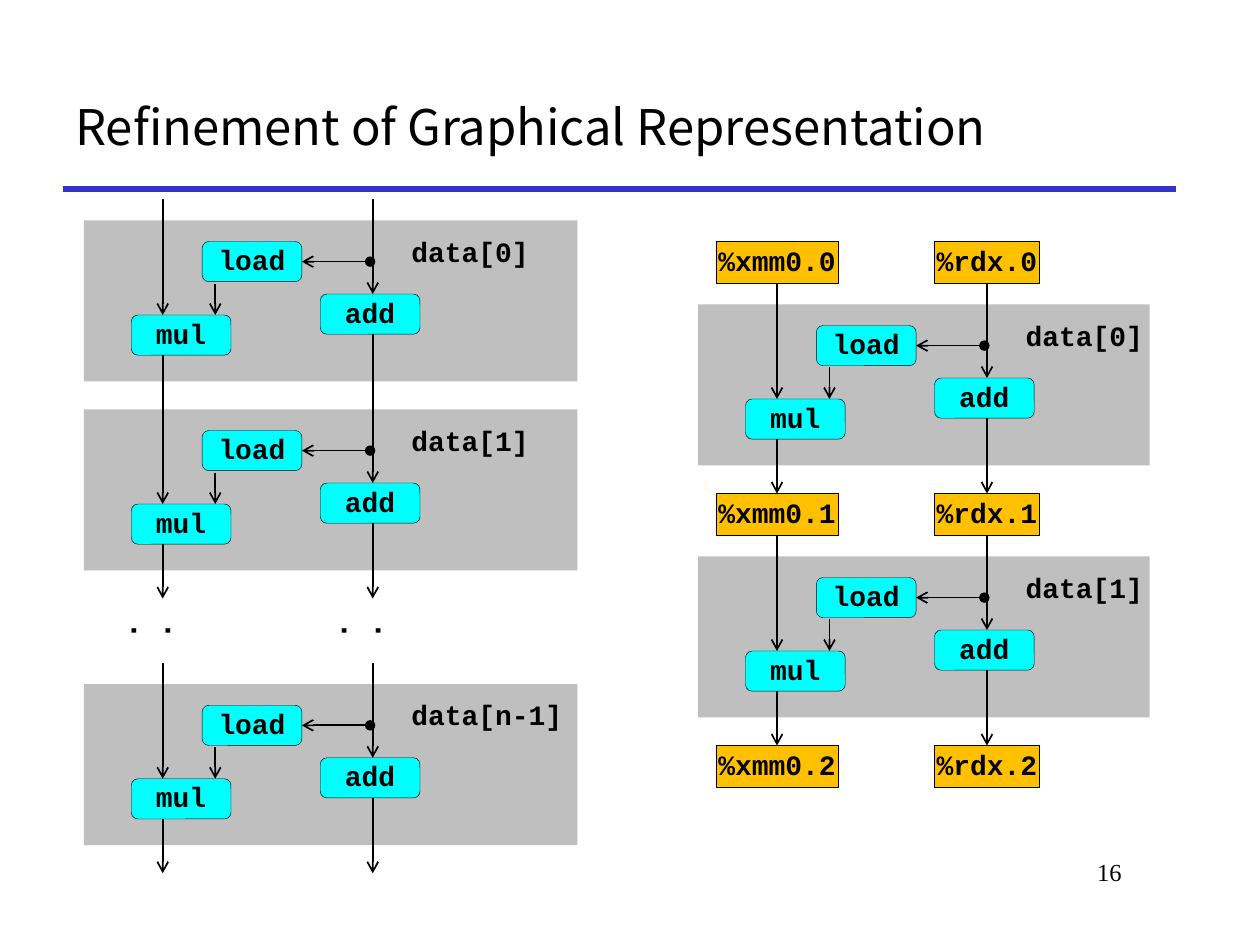
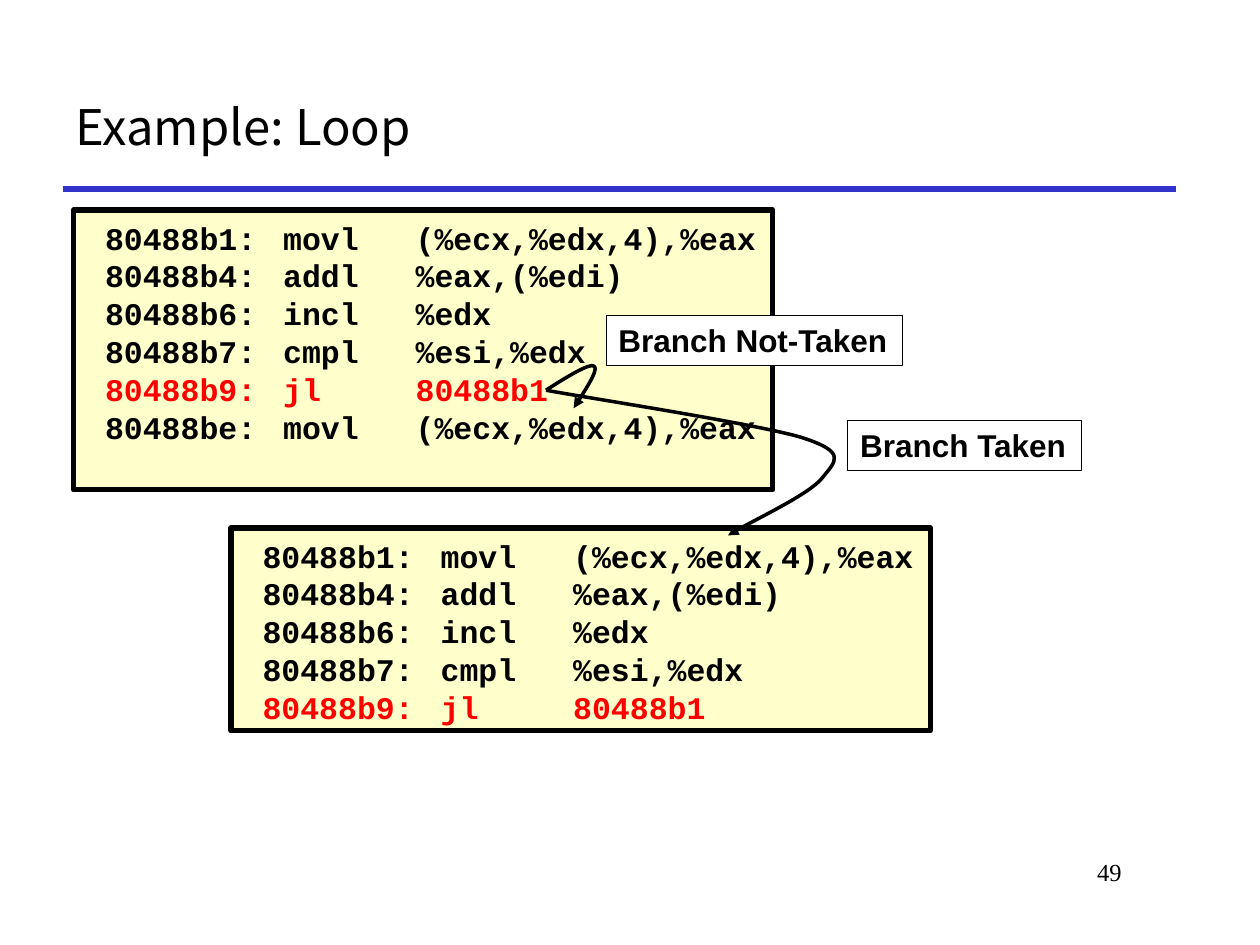
from dataclasses import dataclass

from lxml import etree
from pptx import Presentation
from pptx.dml.color import RGBColor
from pptx.enum.shapes import MSO_CONNECTOR, MSO_SHAPE
from pptx.enum.text import MSO_ANCHOR, PP_ALIGN
from pptx.oxml.ns import qn
from pptx.util import Pt

RECTANGLE, ROUNDED = MSO_SHAPE.RECTANGLE, MSO_SHAPE.ROUNDED_RECTANGLE
STRAIGHT = MSO_CONNECTOR.STRAIGHT
TOP, MIDDLE = MSO_ANCHOR.TOP, MSO_ANCHOR.MIDDLE
LEFT, CENTER, RIGHT = PP_ALIGN.LEFT, PP_ALIGN.CENTER, PP_ALIGN.RIGHT


@dataclass(frozen=True)
class Theme:
    ink: str = "000000"
    rule: str = "3333CC"
    panel: str = "BFBFBF"
    register: str = "FFC000"
    operation: str = "00FFFF"
    code: str = "FFFFCC"
    jump: str = "FF0000"
    white: str = "FFFFFF"
    title_font: str = "Noto Sans CJK KR"
    number_font: str = "Times New Roman"
    mono_font: str = "Courier New"
    label_font: str = "Arial"
    title_size: float = 28
    number_size: float = 14
    node_size: float = 16
    code_size: float = 18
    hairline: float = 0.25
    thin: float = 1
    curve: float = 2
    thick: float = 3


theme = Theme()


def add_box(page, text, frame, kind=None, fill=None, border=None, font=theme.mono_font,
            size=theme.node_size, bold=True, align=LEFT, anchor=TOP,
            insets=(7.2, 3.6, 7.2, 3.6), spacing=None, wrap=True):
    """Add a preset shape, or a text box when kind is None, with one paragraph per line."""
    lengths = [Pt(value) for value in frame]
    if kind is None:
        box = page.shapes.add_textbox(*lengths)
    else:
        box = page.shapes.add_shape(kind, *lengths)
        box.shadow.inherit = False
        if fill:
            box.fill.solid()
            box.fill.fore_color.rgb = RGBColor.from_string(fill)
        else:
            box.fill.background()
        if border:
            box.line.color.rgb = RGBColor.from_string(theme.ink)
            box.line.width = Pt(border)
        else:
            box.line.fill.background()
    body = box.text_frame
    body.word_wrap = wrap
    body.vertical_anchor = anchor
    body.margin_left, body.margin_top, body.margin_right, body.margin_bottom = map(Pt, insets)
    for index, line in enumerate(text.split("\n") if text else []):
        para = body.paragraphs[0] if index == 0 else body.add_paragraph()
        para.alignment = align
        if spacing:
            para.line_spacing = spacing
        span = para.add_run()
        span.text = line
        span.font.name = font
        span.font.size = Pt(size)
        span.font.bold = bold
        span.font.color.rgb = RGBColor.from_string(theme.ink)
    return box


def style_line(line, width=theme.thin, color=theme.ink, head=None, tail=None):
    """Give a connector or open outline its stroke and ends, without a shadow."""
    line.line.color.rgb = RGBColor.from_string(color)
    line.line.width = Pt(width)
    properties = line.element.spPr
    stroke = properties.find(qn("a:ln"))
    for tag, end in (("a:headEnd", head), ("a:tailEnd", tail)):
        if end:
            etree.SubElement(stroke, qn(tag), type=end)
    if properties.find(qn("a:effectLst")) is None:
        etree.SubElement(properties, qn("a:effectLst"))


deck = Presentation()
deck.slide_width, deck.slide_height = Pt(720), Pt(540)

# Shared frame of both slides
pages = []
for title, number in (("Refinement of Graphical Representation", "16"), ("Example: Loop", "49")):
    page = deck.slides.add_slide(deck.slide_layouts[6])
    rule = page.shapes.add_connector(STRAIGHT, Pt(36), Pt(108), Pt(672), Pt(108))
    style_line(rule, theme.thick, theme.rule)
    add_box(page, number, (546, 486, 102, 36), font=theme.number_font,
            size=theme.number_size, bold=False, align=RIGHT)
    add_box(page, title, (36, 36, 636, 72), font=theme.title_font,
            size=theme.title_size, bold=False, anchor=MIDDLE)
    pages.append(page)
graph_page, loop_page = pages

# Data-flow graphs: two lanes, the product and the pointer
LANE_GAP = 120
LEFT_LANE, RIGHT_LANE = 93, 444
NODE_WIDTH, NODE_HEIGHT = 57, 23
node_format = dict(border=theme.hairline, align=CENTER, anchor=MIDDLE,
                   insets=(0, 0, 0, 0), spacing=0.9)

registers = []
for step in range(3):
    row = []
    for name, center, width in (("%xmm0", RIGHT_LANE, 70), ("%rdx", RIGHT_LANE + LANE_GAP, 60)):
        frame = (center - width / 2, 138 + 144 * step, width, 24)
        row.append(add_box(graph_page, f"{name}.{step}", frame, RECTANGLE,
                           theme.register, **node_format))
    registers.append(row)

# Lane, panel top, panel width, label, end of the outgoing lines, registers above and below
iterations = [
    (RIGHT_LANE, 174, 258, "data[0]", "arrow", registers[0:2]),
    (RIGHT_LANE, 318, 258, "data[1]", "arrow", registers[1:3]),
    (LEFT_LANE, 126, 282, "data[0]", None, None),
    (LEFT_LANE, 234, 282, "data[1]", "arrow", None),
    (LEFT_LANE, 391, 282, "data[n-1]", "arrow", None),
]
for lane, top, panel_width, label, exit_end, joined in iterations:
    add_box(graph_page, "", (lane - 45, top, panel_width, 92), RECTANGLE, theme.panel)
    nodes = {}
    for name, x, y in (("load", 22.5, 12), ("mul", -18, 54), ("add", 90, 42)):
        nodes[name] = add_box(graph_page, name, (lane + x, top + y, NODE_WIDTH, NODE_HEIGHT),
                              ROUNDED, theme.operation, **node_format)

    for column, (x, node_top) in enumerate(((0, 54), (LANE_GAP, 42))):
        x = Pt(lane + x)
        entry = graph_page.shapes.add_connector(STRAIGHT, x, Pt(top - 12), x, Pt(top + node_top))
        leave = graph_page.shapes.add_connector(
            STRAIGHT, x, Pt(top + node_top + NODE_HEIGHT), x, Pt(top + 108))
        if joined:
            entry.begin_connect(joined[0][column], 2)
            leave.end_connect(joined[1][column], 0)
        style_line(entry, tail="arrow")
        style_line(leave, tail=exit_end)

    fetch = graph_page.shapes.add_connector(
        STRAIGHT, Pt(lane + 118.5), Pt(top + 23.5), Pt(lane + 79.5), Pt(top + 23.5))
    fetch.end_connect(nodes["load"], 3)
    style_line(fetch, head="oval", tail="arrow")
    feed = graph_page.shapes.add_connector(
        STRAIGHT, Pt(lane + 30), Pt(top + 36), Pt(lane + 30), Pt(top + 54))
    style_line(feed, tail="arrow")
    label_width = 0.6 * theme.node_size * len(label) + 20
    add_box(graph_page, label, (lane + 135, top + 6.5, label_width, 25), spacing=0.9)

for x in (79.2, 199.4):
    dots = add_box(graph_page, "..", (x, 347.8, 34.5, 33.8), size=theme.code_size, spacing=0.9)
    dots.text_frame.auto_size = None
    dots.text_frame._txBody.bodyPr.set("vert", "eaVert")

# Assembly listings of the loop
loop_code = [
    "80488b1:\tmovl\t(%ecx,%edx,4),%eax",
    "80488b4:\taddl\t%eax,(%edi)",
    "80488b6:\tincl\t%edx",
    "80488b7:\tcmpl\t%esi,%edx",
    "80488b9:\tjl\t80488b1",
]
after_loop = ["80488be:\tmovl\t(%ecx,%edx,4),%eax"]
for x, y, height, lines in ((42, 120, 160, loop_code + after_loop), (132, 301.7, 116, loop_code)):
    listing = add_box(loop_page, "\n".join(lines), (x, y, 399.6, height), RECTANGLE, theme.code,
                      theme.thick, size=theme.code_size, insets=(18, 5, 3.6, 3.6),
                      spacing=Pt(21.6))
    for para in listing.text_frame.paragraphs:
        stops = etree.SubElement(para._p.get_or_add_pPr(), qn("a:tabLst"))
        for position in (101.8, 177.5):
            etree.SubElement(stops, qn("a:tab"), pos=str(Pt(position)), algn="l")
        if "\tjl\t" in para.text:
            para.runs[0].font.color.rgb = RGBColor.from_string(theme.jump)

# Branch labels and curved arrows from the jump
branches = [
    ("Branch Taken", (484.4, 240, 133.4, 28.8),
     [(312, 223), (336, 227.5), (431, 242), (458, 250), (484.5, 258.5), (477.5, 263.5),
      (470, 273), (463, 282), (427, 299), (416, 306)]),
    ("Branch Not-Taken", (346.3, 180.2, 169.4, 28.8),
     [(312, 223), (324, 215.3), (337, 207.4), (339.5, 209.2), (342, 211), (334.8, 222.5),
      (327.8, 233.3)]),
]
for label, frame, curve in branches:
    add_box(loop_page, label, frame, RECTANGLE, theme.white, theme.hairline,
            font=theme.label_font, size=theme.code_size, wrap=False)
    points = [(Pt(x), Pt(y)) for x, y in curve]
    builder = loop_page.shapes.build_freeform(*points[0])
    builder.add_line_segments(points[1:], close=False)
    arrow = builder.convert_to_shape()
    arrow.fill.background()
    style_line(arrow, theme.curve, tail="triangle")
    # Each three straight segments become one Bézier segment
    outline = arrow.element.spPr.find(".//" + qn("a:path"))
    segments = outline.findall(qn("a:lnTo"))
    for first in range(0, len(segments), 3):
        bezier = etree.SubElement(outline, qn("a:cubicBezTo"))
        for segment in segments[first:first + 3]:
            bezier.append(segment[0])
            outline.remove(segment)

deck.save("out.pptx")
